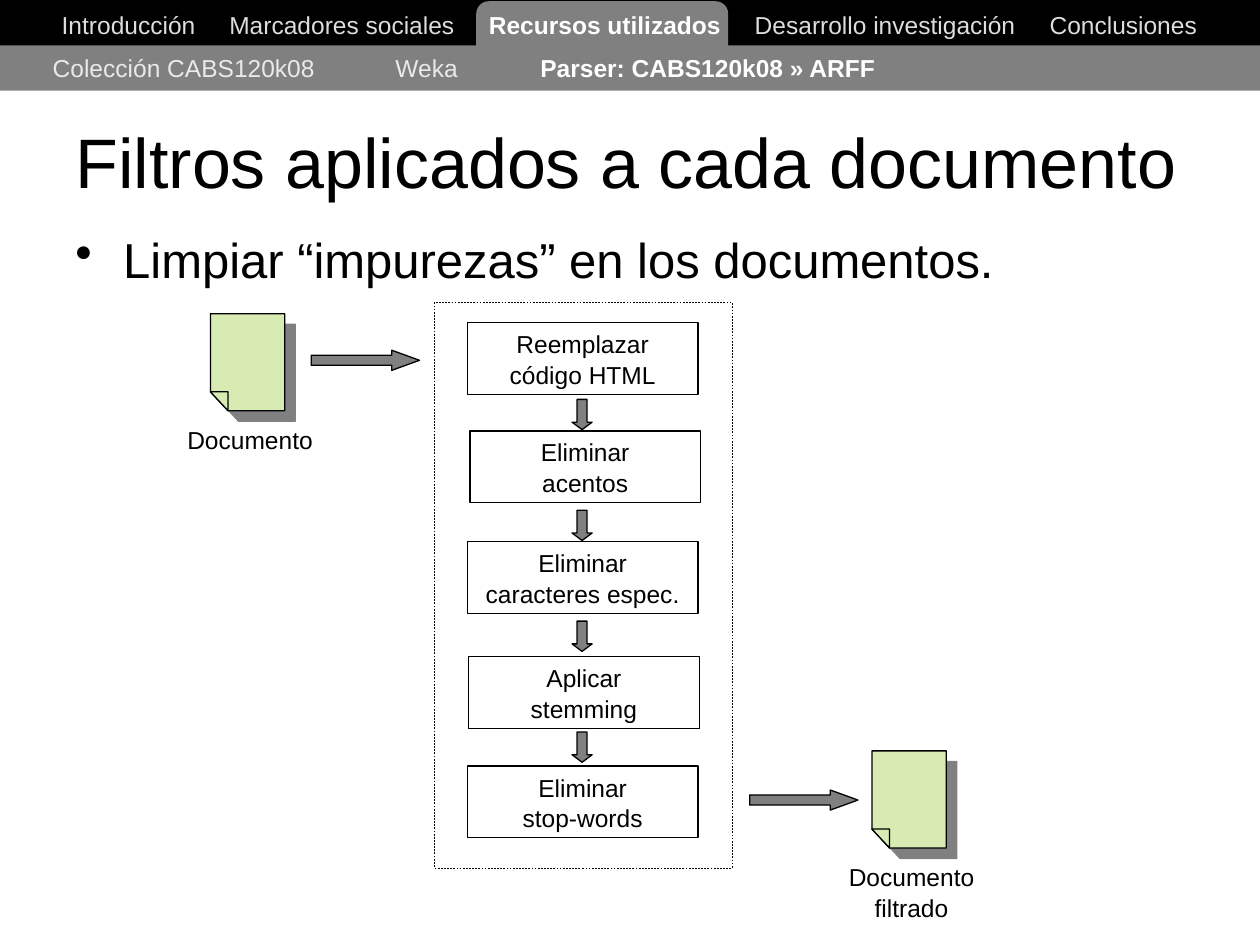
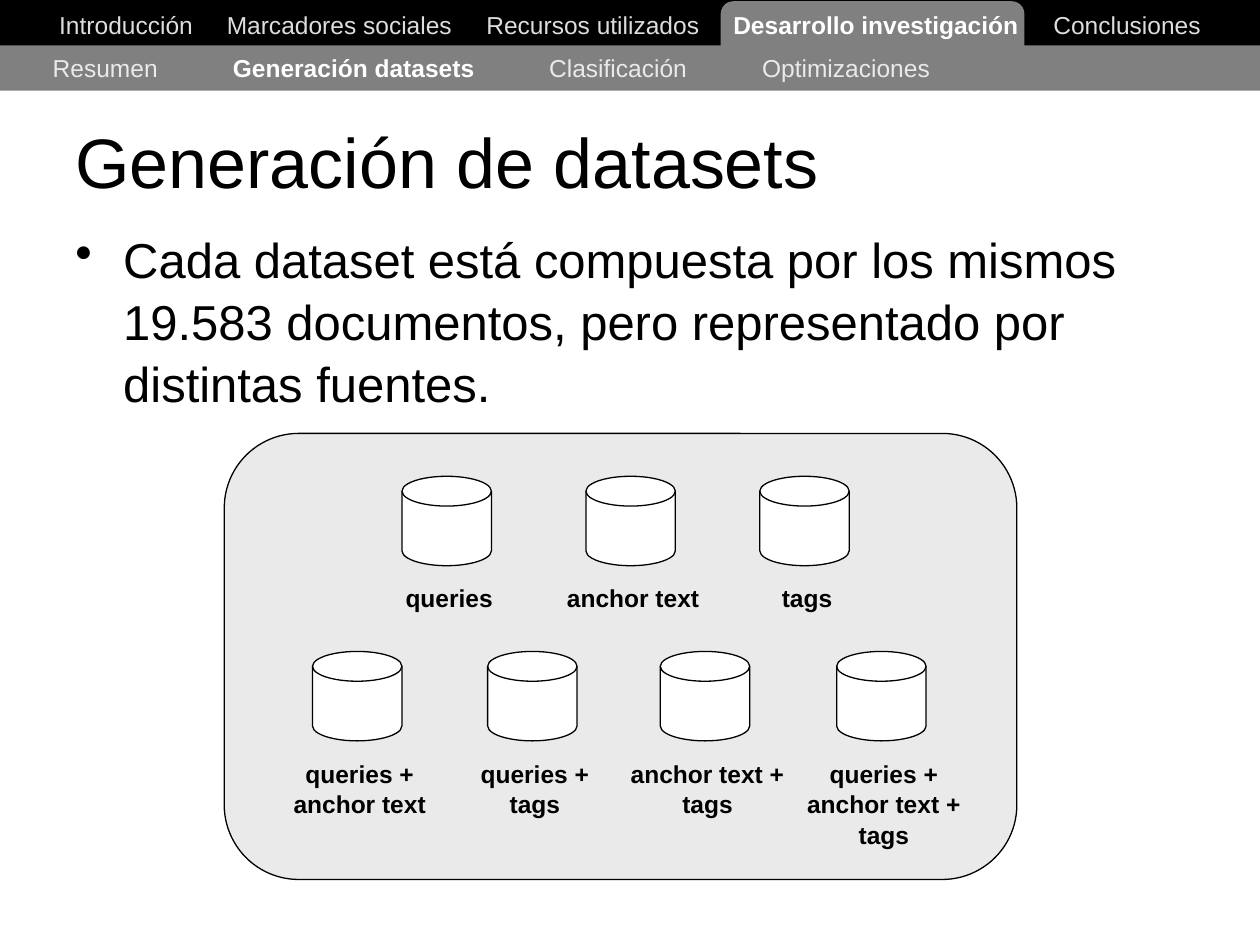
from lxml import etree
from pptx import Presentation
from pptx.dml.color import RGBColor
from pptx.enum.dml import MSO_LINE
from pptx.enum.shapes import MSO_SHAPE as SHAPE
from pptx.enum.text import MSO_ANCHOR as ANCHOR, MSO_AUTO_SIZE as AUTO_SIZE, PP_ALIGN as ALIGN
from pptx.oxml.ns import qn
from pptx.util import Inches, Pt

BLACK = RGBColor(0x00, 0x00, 0x00)
WHITE = RGBColor(0xFF, 0xFF, 0xFF)
GRAY = RGBColor(0x80, 0x80, 0x80)
PALE = RGBColor(0xEA, 0xEA, 0xEA)
MENU_GRAY = RGBColor(0xDD, 0xDD, 0xDD)
PAGE_GREEN = RGBColor(0xD8, 0xEB, 0xB3)

SECTIONS = ["Introducción", "Marcadores sociales", "Recursos utilizados",
            "Desarrollo investigación", "Conclusiones"]
BAND_HEIGHT = 0.36
DISK_SIZE = 0.71
LABEL_WIDTH = 1.88


class Deck:
    font = "Arial"
    small, body, heading = Pt(14), Pt(28), Pt(40)
    line_spacing = 1.05

    def __init__(self):
        self.prs = Presentation()
        self.prs.slide_width, self.prs.slide_height = Inches(10), Inches(7.5)
        self.slide = None

    def new_slide(self, title):
        self.slide = self.prs.slides.add_slide(self.prs.slide_layouts[5])
        holder = self.slide.shapes.title
        holder.left, holder.top = Inches(0.5), Inches(0.79)
        holder.width, holder.height = Inches(9.3), Inches(0.93)
        frame = holder.text_frame
        frame.text = title
        frame.auto_size = AUTO_SIZE.NONE
        frame.vertical_anchor = ANCHOR.MIDDLE
        self.style(frame.paragraphs[0], self.heading)

    def style(self, paragraph, size, align=ALIGN.LEFT, bold=False):
        paragraph.alignment = align
        paragraph.line_spacing = self.line_spacing
        font = paragraph.font
        font.name, font.size, font.bold = self.font, size, bold
        font.color.rgb = BLACK

    def paint(self, shape, fill=None, line=None, width=0.75):
        shape.shadow.inherit = False
        if fill is None:
            shape.fill.background()
        else:
            shape.fill.solid()
            shape.fill.fore_color.rgb = fill
        if line is None:
            shape.line.fill.background()
        else:
            shape.line.color.rgb = line
            shape.line.width = Pt(width)
        return shape

    def shape(self, kind, left, top, width, height, fill=None, line=BLACK,
              line_width=0.75, adjust=()):
        shape = self.slide.shapes.add_shape(
            kind, Inches(left), Inches(top), Inches(width), Inches(height))
        for i, value in enumerate(adjust):
            shape.adjustments[i] = value
        return self.paint(shape, fill, line, line_width)

    def text(self, left, top, width, height):
        box = self.slide.shapes.add_textbox(
            Inches(left), Inches(top), Inches(width), Inches(height))
        box.text_frame.word_wrap = True
        return box.text_frame

    def label(self, words, left, top, width, bold=False):
        """Add centred small text, as tall as its lines need."""
        height = 0.34 + 0.23 * words.count("\n")
        paragraph = self.text(left, top, width, height).paragraphs[0]
        paragraph.text = words
        self.style(paragraph, self.small, ALIGN.CENTER, bold)

    def bullet(self, words):
        paragraph = self.text(0.5, 1.75, 9, 5.75).paragraphs[0]
        paragraph.text = words
        paragraph.space_before = Pt(7)
        props = paragraph._p.get_or_add_pPr()
        props.set("marL", str(Inches(0.38)))
        props.set("indent", str(-Inches(0.38)))
        etree.SubElement(props, qn("a:buChar"), char="•")
        self.style(paragraph, self.body)

    def menu(self, frame, items, current, starts, color):
        """Write the items in one line, each at its distance from the slide's left."""
        paragraph = frame.paragraphs[0]
        tabs = etree.SubElement(paragraph._p.get_or_add_pPr(), qn("a:tabLst"))
        for start in starts[1:]:
            etree.SubElement(tabs, qn("a:tab"), pos=str(Inches(start - starts[0])), algn="l")
        self.style(paragraph, self.small)
        for i, item in enumerate(items):
            run = paragraph.add_run()
            run.text = "\t" + item if i else item
            run.font.bold = item == current
            run.font.color.rgb = WHITE if item == current else color

    def navigation(self, section, section_starts, tab_left, tab_width,
                   topics, topic, topic_starts):
        self.shape(SHAPE.RECTANGLE, 0, 0, 10, BAND_HEIGHT, BLACK)
        self.shape(SHAPE.ROUNDED_RECTANGLE, tab_left, 0.01, tab_width, 0.59,
                   GRAY, None, adjust=[0.167])
        self.shape(SHAPE.RECTANGLE, 0, BAND_HEIGHT, 10, BAND_HEIGHT, GRAY, None)
        self.menu(self.text(0.32, BAND_HEIGHT, 9.4, 0.34), topics, topic,
                  topic_starts, PALE)
        sections = self.text(0, 0.02, 10, 0.34)
        sections.margin_left = Inches(section_starts[0])
        self.menu(sections, SECTIONS, section, section_starts, MENU_GRAY)

    def step(self, words, left, top):
        box = self.shape(SHAPE.RECTANGLE, left, top, 1.83, 0.57)
        frame = box.text_frame
        frame.word_wrap = True
        frame.vertical_anchor = ANCHOR.MIDDLE
        frame.paragraphs[0].text = words
        self.style(frame.paragraphs[0], self.small, ALIGN.CENTER)

    def arrow(self, kind, left, top, width, height, head):
        self.shape(kind, left, top, width, height, GRAY, adjust=[0.5, head])

    def outline(self, left, top, points):
        (x, y), *others = [(Inches(left + dx), Inches(top + dy)) for dx, dy in points]
        builder = self.slide.shapes.build_freeform(x, y)
        builder.add_line_segments(others, close=True)
        return self.paint(builder.convert_to_shape(), PAGE_GREEN, BLACK)

    def document(self, words, left, top):
        """Draw a page with a folded corner and its caption."""
        self.label(words, left - 0.35, top + 0.82, 1.33)
        fold_left, fold_right = (0, 0.62), (0.14, 0.77)
        page = self.outline(left, top, [(0, 0), (0.59, 0), (0.59, 0.77),
                                        fold_right, fold_left])
        effects = page._element.spPr.find(qn("a:effectLst"))
        shadow = etree.SubElement(effects, qn("a:outerShdw"), dist=str(Pt(8.5)),
                                  dir="2700000", algn="ctr", rotWithShape="0")
        etree.SubElement(shadow, qn("a:srgbClr"), val=str(GRAY))
        self.outline(left, top, [fold_left, (0.14, 0.62), fold_right])

    def dataset(self, words, left, top):
        self.shape(SHAPE.FLOWCHART_MAGNETIC_DISK, left, top, DISK_SIZE, DISK_SIZE, WHITE)
        self.label(words, left + (DISK_SIZE - LABEL_WIDTH) / 2 + 0.02, top + 0.79,
                   LABEL_WIDTH, bold=True)


def filters_slide(deck):
    deck.new_slide("Filtros aplicados a cada documento")
    deck.navigation("Recursos utilizados", [0.49, 1.82, 3.88, 5.99, 8.33], 3.78, 2,
                    ["Colección CABS120k08", "Weka", "Parser: CABS120k08 » ARFF"],
                    "Parser: CABS120k08 » ARFF", [0.42, 3.14, 4.29])
    deck.bullet("Limpiar “impurezas” en los documentos.")
    steps = [("Reemplazar código HTML", 3.71, 2.56),
             ("Eliminar\nacentos", 3.73, 3.42),
             ("Eliminar caracteres espec.", 3.71, 4.3),
             ("Aplicar\nstemming", 3.72, 5.21),
             ("Eliminar\nstop-words", 3.71, 6.08)]
    for words, left, top in steps:
        deck.step(words, left, top)
    for i in range(len(steps) - 1):
        deck.arrow(SHAPE.DOWN_ARROW, 4.54, 3.17 + 0.88 * i, 0.16, 0.24, 0.37)
    for left, top in [(2.47, 2.78), (5.95, 6.27)]:
        deck.arrow(SHAPE.RIGHT_ARROW, left, top, 0.86, 0.16, 1.38)
    deck.document("Documento", 1.67, 2.49)
    deck.document("Documento\nfiltrado", 6.92, 5.96)
    pipeline = deck.shape(SHAPE.RECTANGLE, 3.45, 2.4, 2.36, 4.49, line_width=0.25)
    pipeline.line.dash_style = MSO_LINE.DASH


def datasets_slide(deck):
    deck.new_slide("Generación de datasets")
    deck.navigation("Desarrollo investigación", [0.47, 1.8, 3.86, 5.82, 8.36], 5.72, 2.41,
                    ["Resumen", "Generación datasets", "Clasificación", "Optimizaciones"],
                    "Generación datasets", [0.42, 1.85, 4.36, 6.05])
    deck.bullet("Cada dataset está compuesta por los mismos 19.583 documentos, "
                "pero representado por distintas fuentes.")
    deck.shape(SHAPE.ROUNDED_RECTANGLE, 1.78, 3.44, 6.29, 3.54, PALE, adjust=[0.167])
    rows = {3.78: [("queries", 3.19), ("anchor text", 4.65), ("tags", 6.03)],
            5.17: [("queries +\nanchor text", 2.48), ("queries +\ntags", 3.87),
                   ("anchor text +\ntags", 5.24),
                   ("queries +\nanchor text +\ntags", 6.64)]}
    for top, datasets in rows.items():
        for words, left in datasets:
            deck.dataset(words, left, top)


def main():
    deck = Deck()
    filters_slide(deck)
    datasets_slide(deck)
    deck.prs.save("out.pptx")


if __name__ == "__main__":
    main()
